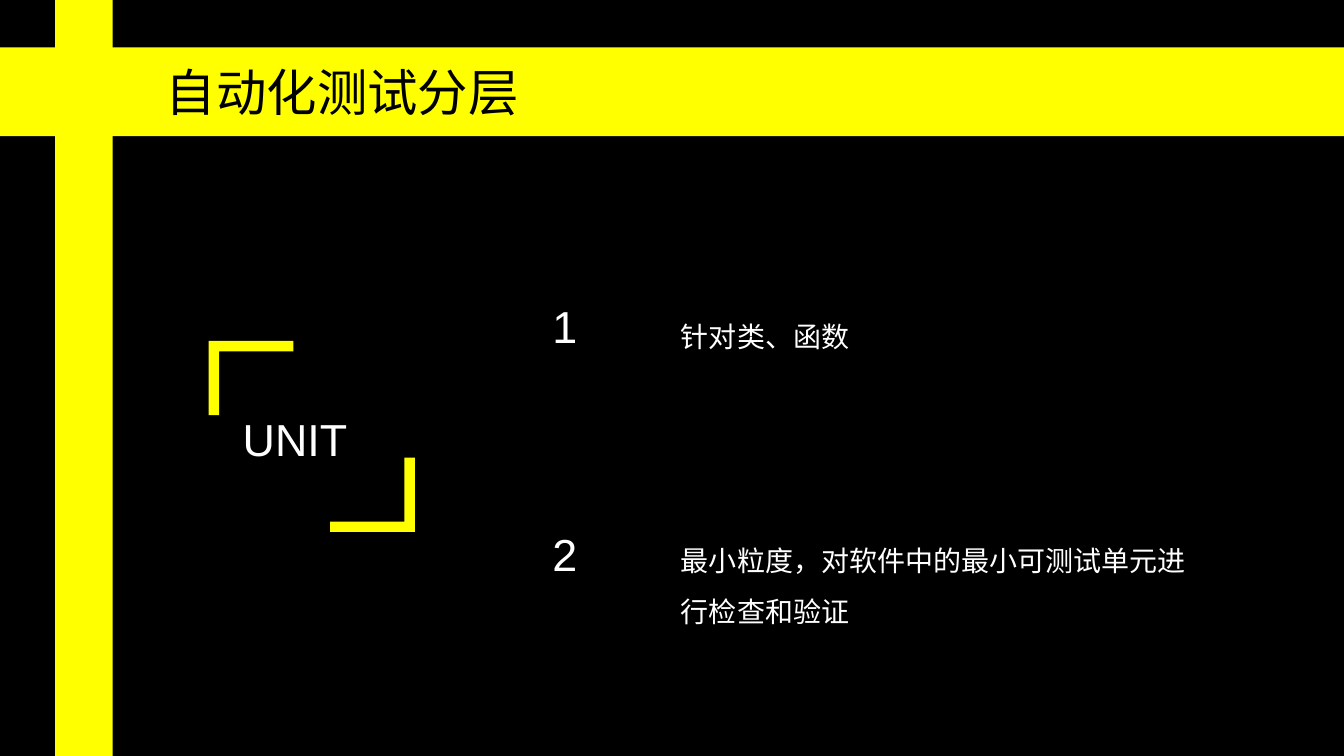
from pptx import Presentation
from pptx.dml.color import RGBColor
from pptx.enum.shapes import MSO_SHAPE as Preset
from pptx.enum.text import MSO_AUTO_SIZE as AutoSize
from pptx.util import Pt

COLORS = {"back": "000000", "accent": "FFFF00", "light": "FFFFFF"}


class LayerSlide:
    font = "Arial"

    def __init__(self, deck):
        self.slide = deck.slides.add_slide(deck.slide_layouts[6])
        fill = self.slide.background.fill
        fill.solid()
        fill.fore_color.rgb = self.color("back")

    def color(self, name):
        return RGBColor.from_string(COLORS[name])

    def block(self, left, top, width, height, preset=Preset.RECTANGLE):
        shape = self.slide.shapes.add_shape(preset, Pt(left), Pt(top), Pt(width), Pt(height))
        shape.shadow.inherit = False
        shape.fill.solid()
        shape.fill.fore_color.rgb = self.color("accent")
        shape.line.fill.background()
        return shape

    def bracket(self, left, top, rotation):
        corner = self.block(left, top, 53, 60.5, Preset.CORNER)
        corner.rotation = rotation
        corner.adjustments[0] = 0.14
        corner.adjustments[1] = 0.14

    def text(self, words, left, top, width, height, size, color="light", spacing=None):
        box = self.slide.shapes.add_textbox(Pt(left), Pt(top), Pt(width), Pt(height))
        frame = box.text_frame
        frame.word_wrap = True
        frame.auto_size = AutoSize.SHAPE_TO_FIT_TEXT
        paragraph = frame.paragraphs[0]
        if spacing:
            paragraph.line_spacing = spacing
        run = paragraph.add_run()
        run.text = words
        run.font.name = self.font
        run.font.size = Pt(size)
        run.font.color.rgb = self.color(color)


def main():
    deck = Presentation()
    deck.slide_width, deck.slide_height = Pt(960), Pt(540)
    page = LayerSlide(deck)

    page.block(0, 33.8, 960, 63.5)
    page.block(39.5, 0, 41, 540)
    page.text("自动化测试分层", 111.5, 40.3, 333, 51, 36, "back")

    page.text("UNIT", 166.3, 271.5, 166, 65.5, 32, spacing=1.5)
    page.bracket(152.8, 239.8, 90)
    page.bracket(239.6, 323.2, 270)

    points = [
        ("针对类、函数", 209.5, 212.4, 43),
        ("最小粒度，对软件中的最小可测试单元进行检查和验证", 373, 373, 80),
    ]
    for number, (words, number_top, words_top, height) in enumerate(points, 1):
        page.text(str(number), 387.5, number_top, 43, 46, 32)
        page.text(words, 479.3, words_top, 387, height, 20, spacing=1.5)

    deck.save("out.pptx")


if __name__ == "__main__":
    main()
